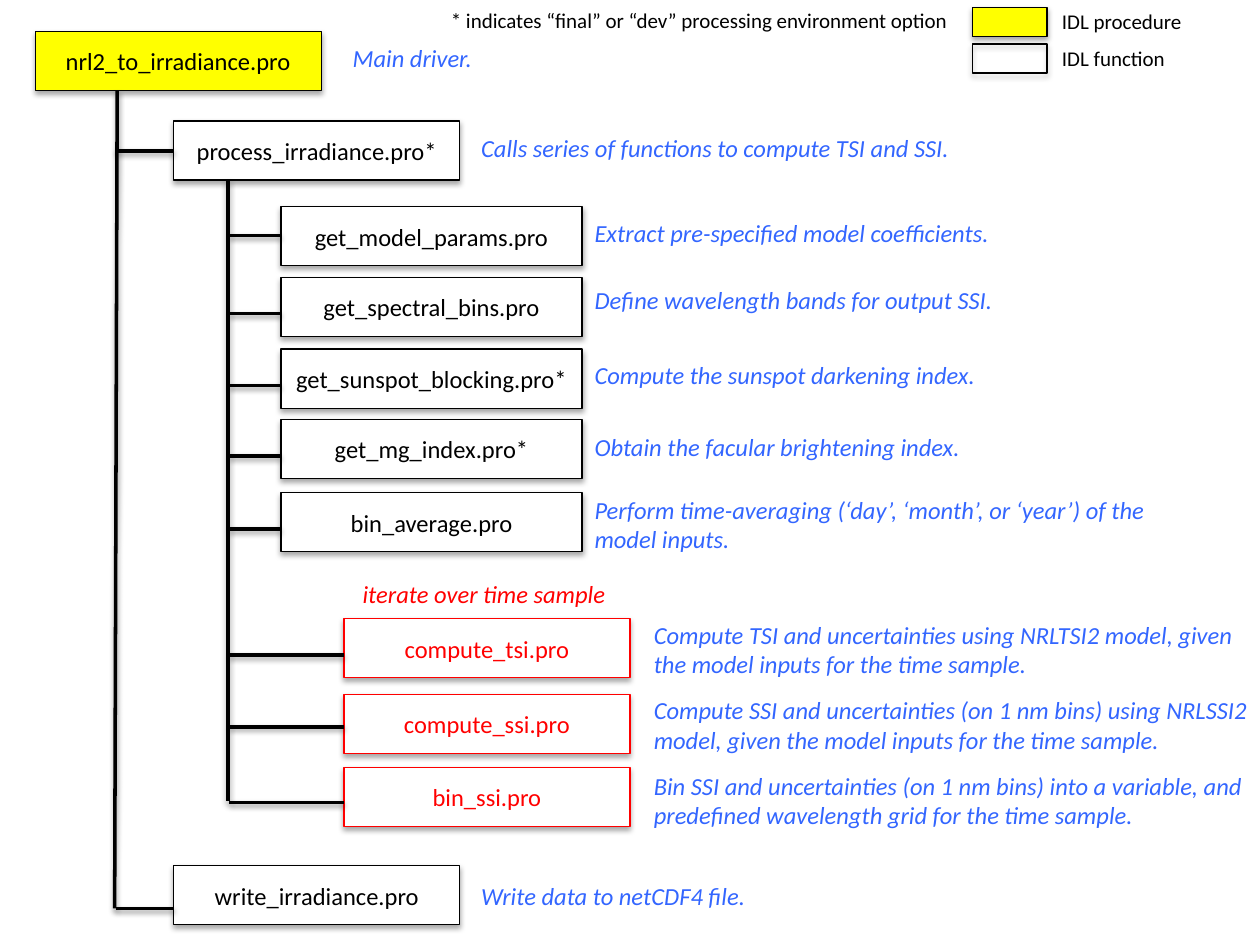
import collections

import lxml.etree
import pptx
import pptx.dml.color
import pptx.enum.shapes
import pptx.enum.text
import pptx.oxml.ns
import pptx.util

BLACK, RED, BLUE, YELLOW, WHITE = "000000", "FF0000", "3366FF", "FFFF00", "FFFFFF"
BOX_HEIGHT = 0.47
NOTE_WIDTH = 5.02

Column = collections.namedtuple("Column", "left width note_left trunk color")
Step = collections.namedtuple("Step", "column top name note_top note_height note branch")

DRIVER = Column(0.28, 2.27, 2.7, None, BLACK)
STAGE = Column(1.38, 2.27, 3.72, 0.92, BLACK)
INPUT = Column(2.23, 2.39, 4.62, 1.82, BLACK)
SAMPLE = Column(2.73, 2.27, 5.09, 1.82, RED)

STEPS = [
    Step(DRIVER, 0.25, "nrl2_to_irradiance.pro", 0.29, 0.34, "Main driver.", None),
    Step(STAGE, 0.96, "process_irradiance.pro*", 1.01, 0.34,
         "Calls series of functions to compute TSI and SSI.", 1.2),
    Step(INPUT, 1.64, "get_model_params.pro", 1.68, 0.34,
         "Extract pre-specified model coefficients.", 1.87),
    Step(INPUT, 2.2, "get_spectral_bins.pro", 2.21, 0.34,
         "Define wavelength bands for output SSI.", 2.49),
    Step(INPUT, 2.77, "get_sunspot_blocking.pro*", 2.81, 0.34,
         "Compute the sunspot darkening index.", 3.06),
    Step(INPUT, 3.33, "get_mg_index.pro*", 3.38, 0.34,
         "Obtain the facular brightening index.", 3.62),
    Step(INPUT, 3.91, "bin_average.pro", 3.88, 0.57,
         "Perform time-averaging (‘day’, ‘month’, or ‘year’) of the model inputs.", 4.2),
    Step(SAMPLE, 4.91, "compute_tsi.pro", 4.87, 0.57,
         "Compute TSI and uncertainties using NRLTSI2 model, "
         "given the model inputs for the time sample.", 5.2),
    Step(SAMPLE, 5.51, "compute_ssi.pro", 5.47, 0.57,
         "Compute SSI and uncertainties (on 1 nm bins) using NRLSSI2 model, "
         "given the model inputs for the time sample.", 5.77),
    Step(SAMPLE, 6.09, "bin_ssi.pro", 6.07, 0.57,
         "Bin SSI and uncertainties (on 1 nm bins) into a variable, "
         "and predefined wavelength grid for the time sample.", 6.37),
    Step(STAGE, 6.87, "write_irradiance.pro", 6.94, 0.34, "Write data to netCDF4 file.", 7.21),
]


def rgb(value):
    """Return the colour for a hex string."""
    return pptx.dml.color.RGBColor.from_string(value)


def inches(*values):
    """Convert several lengths from inches."""
    return [pptx.util.Inches(value) for value in values]


def cast_shadow(shape, distance, opacity):
    """Give a shape or connector a soft black shadow straight below it."""
    tag = pptx.oxml.ns.qn
    effects = lxml.etree.SubElement(shape._element.spPr, tag("a:effectLst"))
    shadow = lxml.etree.SubElement(
        effects, tag("a:outerShdw"), blurRad=str(pptx.util.Pt(3.1)),
        dist=str(pptx.util.Pt(distance)), dir="5400000", rotWithShape="0")
    color = lxml.etree.SubElement(shadow, tag("a:srgbClr"), val=BLACK)
    lxml.etree.SubElement(color, tag("a:alpha"), val=str(opacity * 1000))


def add_span(para, text, size, color, italic=False):
    """Add one formatted run to a paragraph."""
    span = para.add_run()
    span.text = text
    span.font.name = "Calibri"
    span.font.size = pptx.util.Pt(size)
    span.font.italic = italic
    span.font.color.rgb = rgb(color)


def add_box(page, place, fill, border, text=None):
    """Add a bordered rectangle with an optional centred name."""
    box = page.shapes.add_shape(pptx.enum.shapes.MSO_SHAPE.RECTANGLE, *inches(*place))
    if fill:
        box.fill.solid()
        box.fill.fore_color.rgb = rgb(fill)
    else:
        box.fill.background()
    box.line.color.rgb = rgb(border)
    box.line.width = pptx.util.Pt(0.75)
    cast_shadow(box, 1.8, 35)
    if text:
        box.text_frame.vertical_anchor = pptx.enum.text.MSO_ANCHOR.MIDDLE
        para = box.text_frame.paragraphs[0]
        para.alignment = pptx.enum.text.PP_ALIGN.CENTER
        add_span(para, text, 14, border)


def add_label(page, place, text, size, color, italic=False, wrap=False):
    """Add a text box holding one paragraph."""
    box = page.shapes.add_textbox(*inches(*place))
    box.text_frame.word_wrap = wrap
    box.text_frame.auto_size = pptx.enum.text.MSO_AUTO_SIZE.SHAPE_TO_FIT_TEXT
    add_span(box.text_frame.paragraphs[0], text, size, color, italic)


def add_line(page, *ends):
    """Add a thick black line between two points."""
    line = page.shapes.add_connector(pptx.enum.shapes.MSO_CONNECTOR.STRAIGHT, *inches(*ends))
    line.line.color.rgb = rgb(BLACK)
    line.line.width = pptx.util.Pt(2)
    cast_shadow(line, 1.6, 38)


def add_step(page, step):
    """Add a routine's box and its description."""
    column = step.column
    fill = YELLOW if column is DRIVER else WHITE
    add_box(page, (column.left, step.top, column.width, BOX_HEIGHT),
            fill, column.color, step.name)
    add_label(page, (column.note_left, step.note_top, NOTE_WIDTH, step.note_height),
              step.note, 14, BLUE, italic=True, wrap=True)


def add_tree_lines(page):
    """Add the two trunks and a branch to every called routine."""
    add_line(page, 0.93, 0.72, 0.91, 7.21)
    add_line(page, 1.81, 1.43, 1.81, 6.36)
    for step in STEPS:
        if step.branch:
            add_line(page, step.column.trunk, step.branch, step.column.left, step.branch)


def add_legend(page):
    """Add the colour key and the asterisk's meaning."""
    entries = [("IDL procedure", YELLOW, 1.17), ("IDL function", None, 1.03)]
    for row, (text, fill, width) in enumerate(entries):
        offset = 0.29 * row
        add_box(page, (7.72, 0.06 + offset, 0.59, 0.23), fill, BLACK)
        add_label(page, (8.33, 0.02 + offset, width, 0.3), text, 12, BLACK)
    add_label(page, (3.48, 0.01, 4.2, 0.3),
              "* indicates “final” or “dev” processing environment option", 12, BLACK)


def main():
    """Build the call tree slide and save it."""
    deck = pptx.Presentation()
    deck.slide_width, deck.slide_height = inches(10, 7.5)
    page = deck.slides.add_slide(deck.slide_layouts[6])
    for step in STEPS:
        add_step(page, step)
    add_label(page, (2.78, 4.55, 2.2, 0.34), "iterate over time sample", 14, RED, italic=True)
    add_tree_lines(page)
    add_legend(page)
    deck.save("out.pptx")


main()
